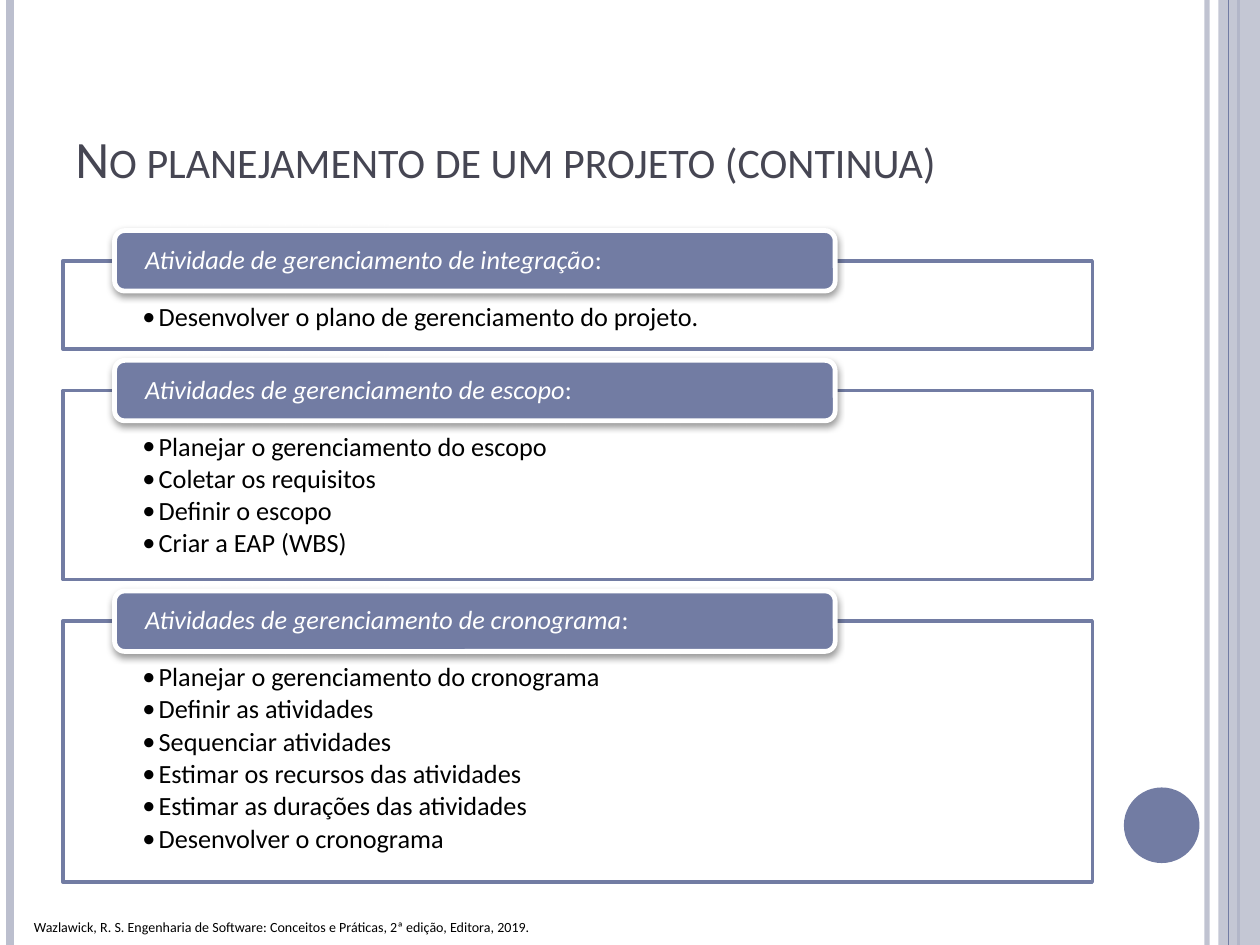
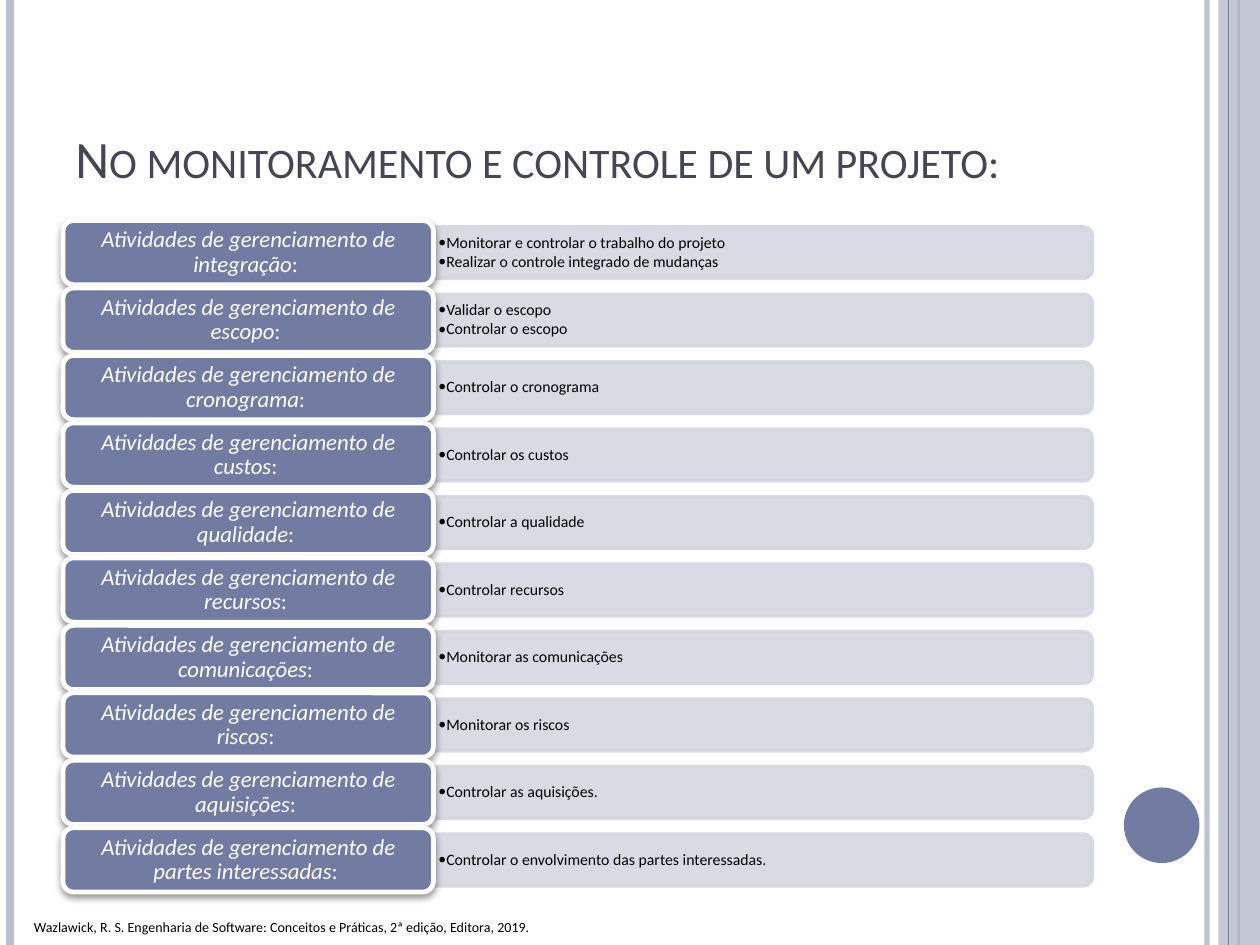
from dataclasses import dataclass

from lxml.etree import SubElement
from pptx import Presentation
from pptx.dml.color import RGBColor
from pptx.enum.shapes import MSO_CONNECTOR, MSO_SHAPE
from pptx.enum.text import MSO_ANCHOR, PP_ALIGN
from pptx.oxml.ns import qn
from pptx.util import Inches, Pt

FOOTER = "Wazlawick, R. S. Engenharia de Software: Conceitos e Práticas, 2ª edição, Editora, 2019."

PLANNING_TITLE = "No planejamento de um projeto (continua)"
PLANNING = [
    ("Atividade de gerenciamento de integração", 0.7, [
        "Desenvolver o plano de gerenciamento do projeto.",
    ]),
    ("Atividades de gerenciamento de escopo", 1.5, [
        "Planejar o gerenciamento do escopo",
        "Coletar os requisitos",
        "Definir o escopo",
        "Criar a EAP (WBS)",
    ]),
    ("Atividades de gerenciamento de cronograma", 2.07, [
        "Planejar o gerenciamento do cronograma",
        "Definir as atividades",
        "Sequenciar atividades",
        "Estimar os recursos das atividades",
        "Estimar as durações das atividades",
        "Desenvolver o cronograma",
    ]),
]

MONITORING_TITLE = "No monitoramento e controle de um projeto:"
MONITORING = [
    ("integração", ["Monitorar e controlar o trabalho do projeto",
                    "Realizar o controle integrado de mudanças"]),
    ("escopo", ["Validar o escopo", "Controlar o escopo"]),
    ("cronograma", ["Controlar o cronograma"]),
    ("custos", ["Controlar os custos"]),
    ("qualidade", ["Controlar a qualidade"]),
    ("recursos", ["Controlar recursos"]),
    ("comunicações", ["Monitorar as comunicações"]),
    ("riscos", ["Monitorar os riscos"]),
    ("aquisições", ["Controlar as aquisições."]),
    ("partes interessadas", ["Controlar o envolvimento das partes interessadas."]),
]


@dataclass(frozen=True)
class Theme:
    font: str = "Calibri"
    accent: str = "727CA3"
    band: str = "BCBFCE"
    pale: str = "D5D7E0"
    heading: str = "464653"
    dark: str = "000000"
    light: str = "FFFFFF"
    title_size: int = 30
    planning_size: int = 15
    area_size: int = 13
    activity_size: int = 9
    footer_size: int = 8


THEME = Theme()
SLIDE_W, SLIDE_H = 10, 7.5
LEFT, CONTENT_W = 0.5, 8.17


def rgb(value):
    return RGBColor.from_string(value)


def fade(shape, percent):
    for color in shape._element.spPr.iter(qn("a:srgbClr")):
        SubElement(color, qn("a:alpha"), val=str(percent * 1000))


def cast_shadow(shape):
    effects = shape._element.spPr.find(qn("a:effectLst"))
    shadow = SubElement(effects, qn("a:outerShdw"), blurRad=str(Pt(4)),
                        dist=str(Pt(2)), dir="5400000", rotWithShape="0")
    color = SubElement(shadow, qn("a:srgbClr"), val=THEME.dark)
    SubElement(color, qn("a:alpha"), val="40000")


def write_text(shape, paragraphs, *, size, color=THEME.dark, italic=False, tail="",
               anchor=MSO_ANCHOR.TOP, align=PP_ALIGN.LEFT, insets=(0.1, 0.05),
               bottom=None, spacing=1, bullet_indent=0, small_caps=False):
    frame = shape.text_frame
    frame.word_wrap = True
    frame.vertical_anchor = anchor
    side, top = insets
    frame.margin_left = frame.margin_right = Inches(side)
    frame.margin_top = Inches(top)
    frame.margin_bottom = Inches(top if bottom is None else bottom)
    for index, text in enumerate(paragraphs):
        paragraph = frame.add_paragraph() if index else frame.paragraphs[0]
        paragraph.alignment = align
        paragraph.line_spacing = spacing
        if bullet_indent:
            paragraph.space_after = Pt(size * 0.15)
            props = paragraph._p.get_or_add_pPr()
            props.set("marL", str(Inches(bullet_indent)))
            props.set("indent", str(-Inches(bullet_indent)))
            SubElement(props, qn("a:buFont"), typeface=THEME.font)
            SubElement(props, qn("a:buChar"), char="•")
        for words, slanted in ((text, italic), (tail, False)):
            if not words:
                continue
            run = paragraph.add_run()
            run.text = words
            run.font.name = THEME.font
            run.font.size = Pt(size)
            run.font.italic = slanted
            run.font.color.rgb = rgb(color)
            if small_caps:
                run._r.get_or_add_rPr().set("cap", "small")


def add_text(slide, box, paragraphs, **style):
    holder = slide.shapes.add_textbox(*map(Inches, box))
    write_text(holder, paragraphs, **style)


def add_block(slide, preset, box, fill, opacity=100):
    block = slide.shapes.add_shape(preset, *map(Inches, box))
    block.shadow.inherit = False
    block.fill.solid()
    block.fill.fore_color.rgb = rgb(fill)
    block.line.fill.background()
    if opacity < 100:
        fade(block, opacity)
    return block


def outline(shape, color, width):
    shape.line.color.rgb = rgb(color)
    shape.line.width = Pt(width)


def add_stripe(slide, x, color, width, opacity=100):
    stripe = slide.shapes.add_connector(
        MSO_CONNECTOR.STRAIGHT, Inches(x), 0, Inches(x), Inches(SLIDE_H))
    outline(stripe, color, width)
    if opacity < 100:
        fade(stripe, opacity)
    SubElement(stripe._element.spPr, qn("a:effectLst"))


def add_area(slide, box, name, **style):
    area = add_block(slide, MSO_SHAPE.ROUNDED_RECTANGLE, box, THEME.accent)
    outline(area, THEME.light, 2.75)
    cast_shadow(area)
    write_text(area, [name], color=THEME.light, italic=True,
               anchor=MSO_ANCHOR.MIDDLE, spacing=0.9, **style)


def start_slide(deck, title):
    slide = deck.slides.add_slide(deck.slide_layouts[6])
    add_stripe(slide, 9.58, THEME.band, 3, opacity=93)
    add_stripe(slide, 0.08, THEME.band, 4.5)
    add_stripe(slide, 9.83, THEME.accent, 1.5)
    add_block(slide, MSO_SHAPE.RECTANGLE, (9.67, 0, 0.33, SLIDE_H), THEME.band, opacity=87)
    add_stripe(slide, 9.75, THEME.accent, 0.75)
    add_block(slide, MSO_SHAPE.OVAL, (8.92, 6.25, 0.6, 0.6), THEME.accent)
    add_text(slide, (0.17, 7.24, 4.83, 0.24), [FOOTER], size=THEME.footer_size)
    add_text(slide, (LEFT, 0.3, CONTENT_W, 1.25), [title], size=THEME.title_size,
             color=THEME.heading, anchor=MSO_ANCHOR.BOTTOM, small_caps=True)
    return slide


def build_planning(deck):
    slide = start_slide(deck, PLANNING_TITLE)
    top, gap, tab_h = 2.07, 0.33, 0.48
    for name, height, activities in PLANNING:
        panel = add_block(slide, MSO_SHAPE.RECTANGLE, (LEFT, top, CONTENT_W, height),
                          THEME.light, opacity=90)
        outline(panel, THEME.accent, 2)
        write_text(panel, activities, size=THEME.planning_size, insets=(0.63, 0.34),
                   bottom=0.05, spacing=0.9, bullet_indent=0.13)
        add_area(slide, (LEFT + 0.41, top - tab_h / 2, CONTENT_W * 0.7, tab_h), name,
                 tail=":", size=THEME.planning_size, insets=(0.22, 0))
        top += height + gap


def build_monitoring(deck):
    slide = start_slide(deck, MONITORING_TITLE)
    first_top, last_top = 1.75, 6.57
    area_w, area_h, bar_h = 2.94, 0.51, 0.41
    bar_left, bar_w = LEFT + area_w, CONTENT_W - area_w
    pitch = (last_top - first_top) / (len(MONITORING) - 1)
    for row, (name, activities) in enumerate(MONITORING):
        top = first_top + row * pitch
        middle = top + area_h / 2
        bar = add_block(slide, MSO_SHAPE.ROUND_2_SAME_RECTANGLE,
                        (bar_left + (bar_w - bar_h) / 2, middle - bar_w / 2, bar_h, bar_w),
                        THEME.pale)
        bar.rotation = 90
        outline(bar, THEME.pale, 2)
        fade(bar, 90)
        add_text(slide, (bar_left, middle - bar_h / 2, bar_w, bar_h), activities,
                 size=THEME.activity_size, anchor=MSO_ANCHOR.MIDDLE, insets=(0.04, 0.02),
                 spacing=0.9, bullet_indent=0.06)
        add_area(slide, (LEFT, top, area_w, area_h), f"Atividades de gerenciamento de {name}",
                 tail=": ", size=THEME.area_size, align=PP_ALIGN.CENTER, insets=(0.05, 0.02))


def main():
    deck = Presentation()
    deck.slide_width, deck.slide_height = Inches(SLIDE_W), Inches(SLIDE_H)
    build_planning(deck)
    build_monitoring(deck)
    deck.save("out.pptx")


if __name__ == "__main__":
    main()
